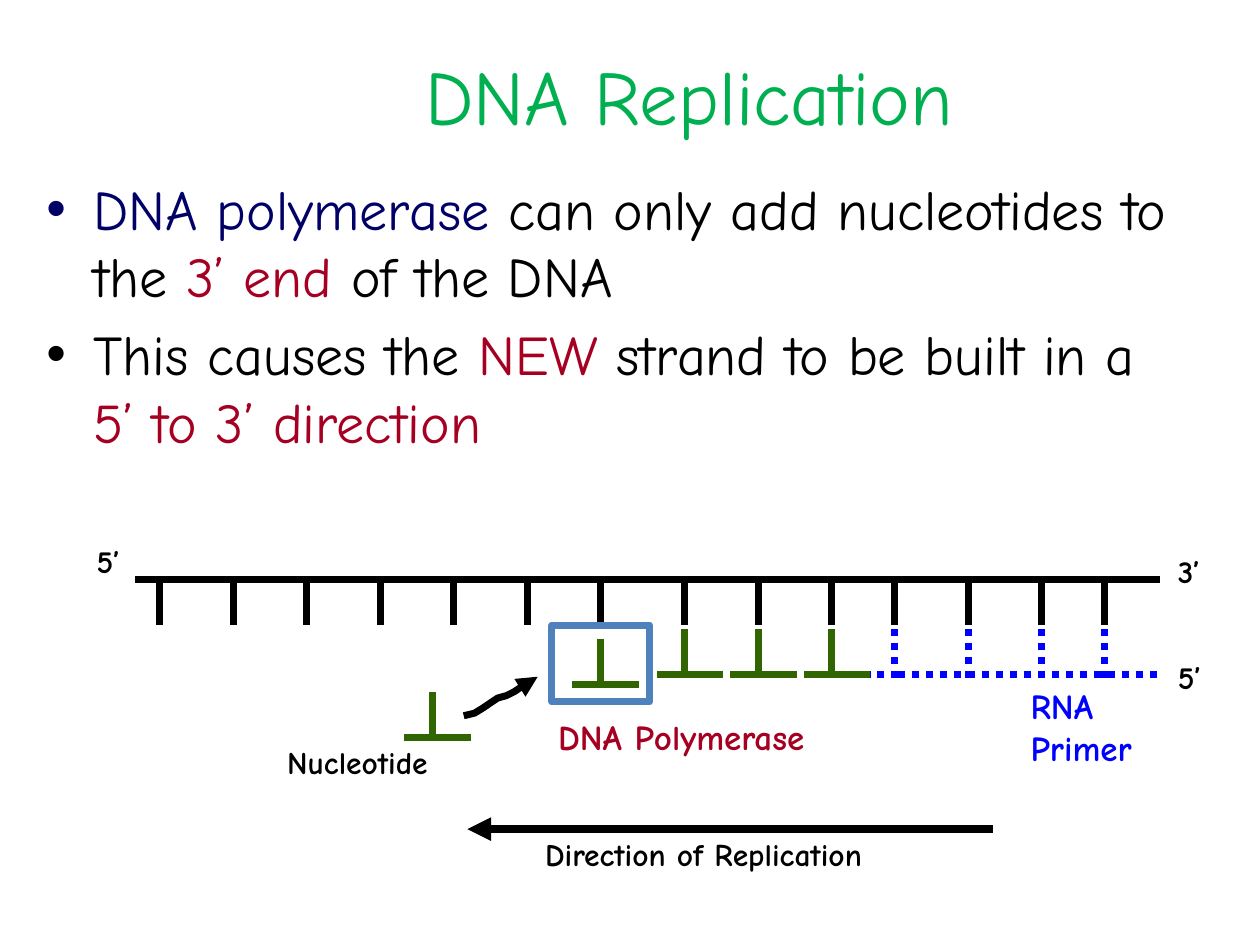
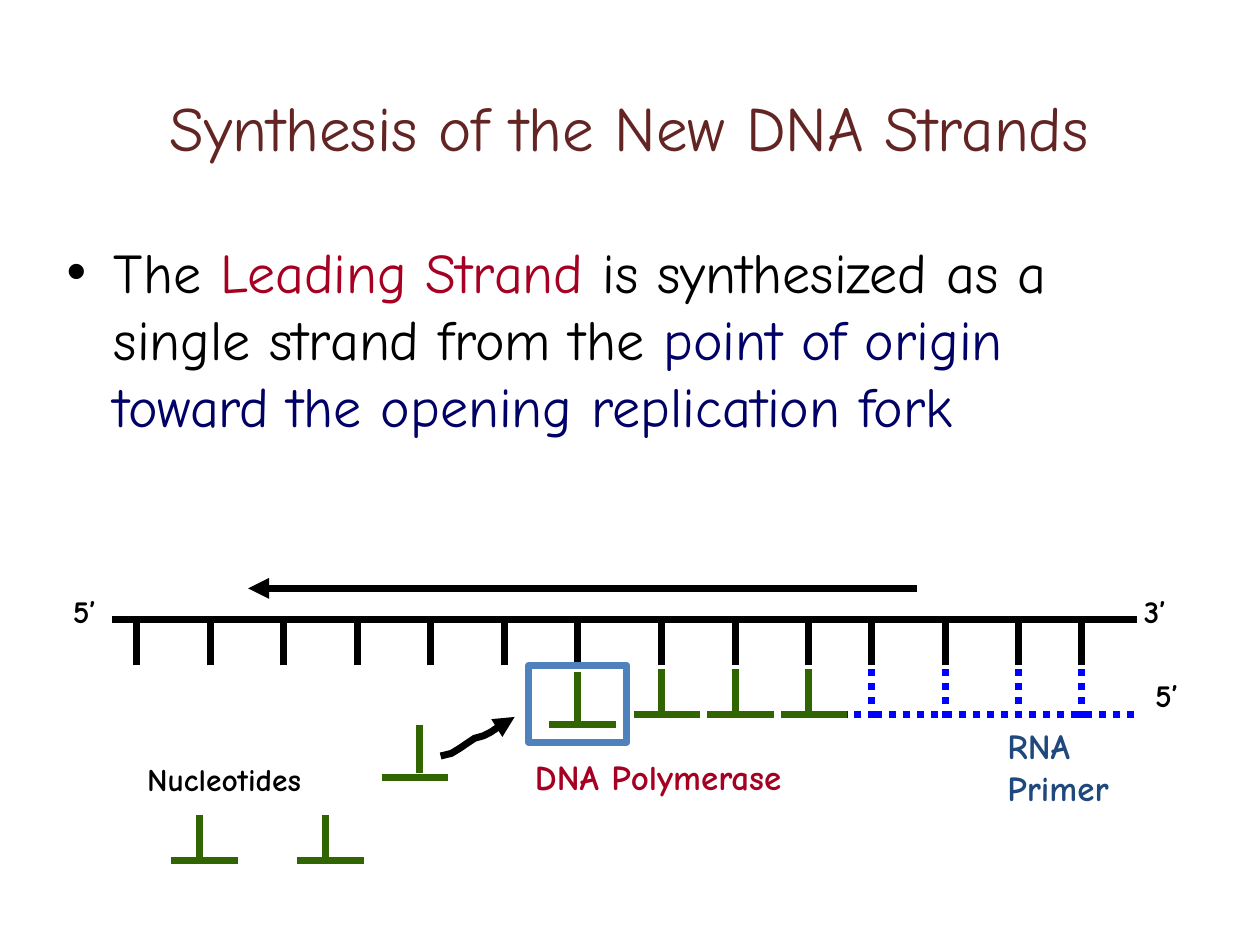
"""Build two slides on DNA replication, each with a title, bullets and a strand diagram."""
from lxml import etree
from pptx import Presentation
from pptx.dml.color import RGBColor
from pptx.enum import dml, shapes, text
from pptx.oxml.ns import qn
from pptx.util import Pt

COLORS = {"black": "000000", "white": "FFFFFF", "navy": "000066", "red": "A50021",
          "green": "316501", "blue": "0000FF", "steel": "4F81BD", "slate": "1F497D",
          "title green": "00B050", "maroon": "632523"}
FONT = "Comic Neue"


def write(tf, paras, size, bold=False, align=None, bullet=False):
    for i, runs in enumerate(paras):
        p = tf.paragraphs[0] if i == 0 else tf.add_paragraph()
        p.alignment = align
        if bullet:
            p.space_before = Pt(6.4)
            pPr = p._p.get_or_add_pPr()
            pPr.set("marL", str(Pt(27)))
            pPr.set("indent", str(Pt(-27)))
            etree.SubElement(pPr, qn("a:buFont")).set("typeface", "Arial")
            etree.SubElement(pPr, qn("a:buChar")).set("char", "•")
        for words, color in runs:
            r = p.add_run()
            r.text = words
            for key, value in {"name": FONT, "size": Pt(size), "bold": bold}.items():
                setattr(r.font, key, value)
            r.font.color.rgb = RGBColor.from_string(COLORS[color])


def line(s, x1, y1, x2, y2, color="black", width=4, dotted=False, arrow=False):
    c = s.shapes.add_connector(shapes.MSO_CONNECTOR.STRAIGHT, Pt(x1), Pt(y1), Pt(x2), Pt(y2))
    c.line.width = Pt(width)
    c.line.color.rgb = RGBColor.from_string(COLORS[color])
    if dotted:
        c.line.dash_style = dml.MSO_LINE.ROUND_DOT
    spPr = c.element.spPr
    if arrow:
        etree.SubElement(spPr.find(qn("a:ln")), qn("a:tailEnd")).set("type", "triangle")
    etree.SubElement(spPr, qn("a:effectLst"))
    return c


SLIDES = [
    {"title": ("DNA Replication", 44, "title green", (139, 24, 510, 60)),
     "body": [[("DNA polymerase", "navy"), (" can only add nucleotides to the ", "black"),
               ("3’ end", "red"), (" of the DNA", "black")],
              [("This causes the ", "black"), ("NEW", "red"),
               (" strand to be built in a ", "black"), ("5’ to 3’ direction", "red")]],
     "body box": (19.4, 96, 670, 384),
     "strand": (77, 331.2),
     "nucleotides": [(247, 395.3, 231, 421.2), (343.4, 365, 327, 391)],
     "direction": (567.4, 267.1, 473.8, 4.5),
     "primer color": "blue",
     "labels": [("Nucleotide", 157, 421.2, 106.6), ("5’", 666, 372.2, 34.6),
                ("5’", 48.2, 306, 34.6), ("3’", 666, 311.8, 34.6)],
     "caption": "Direction of Replication"},
    {"title": ("Synthesis of the New DNA Strands", 36, "maroon", (19.4, 30, 680.4, 84)),
     "body": [[("The ", "black"), ("Leading Strand", "red"),
               (" is synthesized as a single strand from the ", "black"),
               ("point of origin toward the opening replication fork", "navy")]],
     "body box": (31, 132, 635, 348),
     "strand": (63.8, 354.2),
     "nucleotides": [(239.8, 414, 218.2, 444.2), (185.8, 465.8, 170, 491.8),
                     (113.8, 465.8, 98, 491.8), (329.8, 383.8, 314, 414)],
     "direction": (524.2, 141.8, 336.2, 4),
     "primer color": "slate",
     "labels": [("Nucleotides", 77, 430.6, 115.2), ("3’", 646.6, 334.8, 34.6),
                ("5’", 34.6, 334.8, 34.6), ("5’", 653, 383, 34.6)],
     "caption": None},
]
TEMPLATE = [14.4 + 42 * i for i in range(7)]
PAIRED = [314.4 + 42 * i for i in range(3)]
PRIMER = [434.4, 476.4, 518.4, 554.4]
PATH = [(6.2, -1.5), (10.8, -4.3), (15.1, -7.2), (19.4, -10.1), (24.4, -11.5),
        (28.8, -13.7), (33.1, -16.6), (37.4, -19.4), (42.3, -22.3)]

prs = Presentation()
prs.slide_width, prs.slide_height = Pt(720), Pt(540)

for data in SLIDES:
    s = prs.slides.add_slide(prs.slide_layouts[5])
    words, size, color, box = data["title"]
    sp = s.shapes.title
    sp.left, sp.top, sp.width, sp.height = map(Pt, box)
    tf = sp.text_frame
    for key, value in {"word_wrap": True, "auto_size": text.MSO_AUTO_SIZE.NONE,
                       "vertical_anchor": text.MSO_ANCHOR.MIDDLE}.items():
        setattr(tf, key, value)
    write(tf, [[(words, color)]], size, align=text.PP_ALIGN.CENTER)

    tf = s.shapes.add_textbox(*map(Pt, data["body box"])).text_frame
    tf.word_wrap = True
    write(tf, data["body"], 32, bullet=True)

    x, y = data["strand"]
    line(s, x + 586, y, x, y)
    ticks = [line(s, x + dx, y + 26, x + dx, y - 2) for dx in TEMPLATE + PAIRED + PRIMER]
    for dx in PRIMER:
        line(s, x + dx, y + 56, x + dx, y + 28, "blue", dotted=True)
    for end in (588, 420):
        line(s, x + 436.4, y + 54, x + end, y + 54, "blue", dotted=True)

    sp = s.shapes.add_shape(shapes.MSO_SHAPE.RECTANGLE, Pt(x + 238.4), Pt(y + 26), Pt(56), Pt(44))
    sp.shadow.inherit = False
    sp.fill.solid()
    sp.fill.fore_color.rgb = RGBColor.from_string(COLORS["white"])
    sp.line.color.rgb = RGBColor.from_string(COLORS["steel"])
    sp.line.width = Pt(4)
    ticks[len(TEMPLATE) - 1].begin_connect(sp, 0)

    paired = [(x + dx, y + 28, x + dx - 16, y + 54) for dx in PAIRED]
    for stem, top, left, base in paired + data["nucleotides"]:
        line(s, stem, top + 28, stem, top, "green")
        line(s, left, base, left + 38, base, "green")

    px, py = x + 188, y + 77.8
    fb = s.shapes.build_freeform(Pt(px), Pt(py))
    fb.add_line_segments([(Pt(px + dx), Pt(py + dy)) for dx, dy in PATH], close=False)
    sp = fb.convert_to_shape()
    sp.shadow.inherit = False
    sp.fill.background()
    sp.line.color.rgb = RGBColor.from_string(COLORS["black"])
    sp.line.width = Pt(4)
    etree.SubElement(sp.element.spPr.find(qn("a:ln")), qn("a:tailEnd")).set("type", "triangle")

    start, end, level, width = data["direction"]
    line(s, start, level, end, level, width=width, arrow=True)

    labels = [(["RNA", "Primer"], 20, data["primer color"], (x + 504.8, y + 56.2, 76.3, 54.7)),
              (["DNA Polymerase"], 20, "red", (x + 234.8, y + 74.2, 174.2, 31))]
    labels += [([words], 18, "black", (left, top, w, 29)) for words, left, top, w in data["labels"]]
    for lines, size, color, box in labels:
        tf = s.shapes.add_textbox(*map(Pt, box)).text_frame
        tf.word_wrap = False
        tf.auto_size = text.MSO_AUTO_SIZE.SHAPE_TO_FIT_TEXT
        write(tf, [[(words, color)] for words in lines], size, bold=True)

    if data["caption"]:
        tf = s.shapes.add_textbox(Pt(198), Pt(473.8), Pt(408), Pt(36)).text_frame
        tf.word_wrap = True
        write(tf, [[(data["caption"], "black")]], 18, bold=True, align=text.PP_ALIGN.CENTER)

prs.save("out.pptx")
